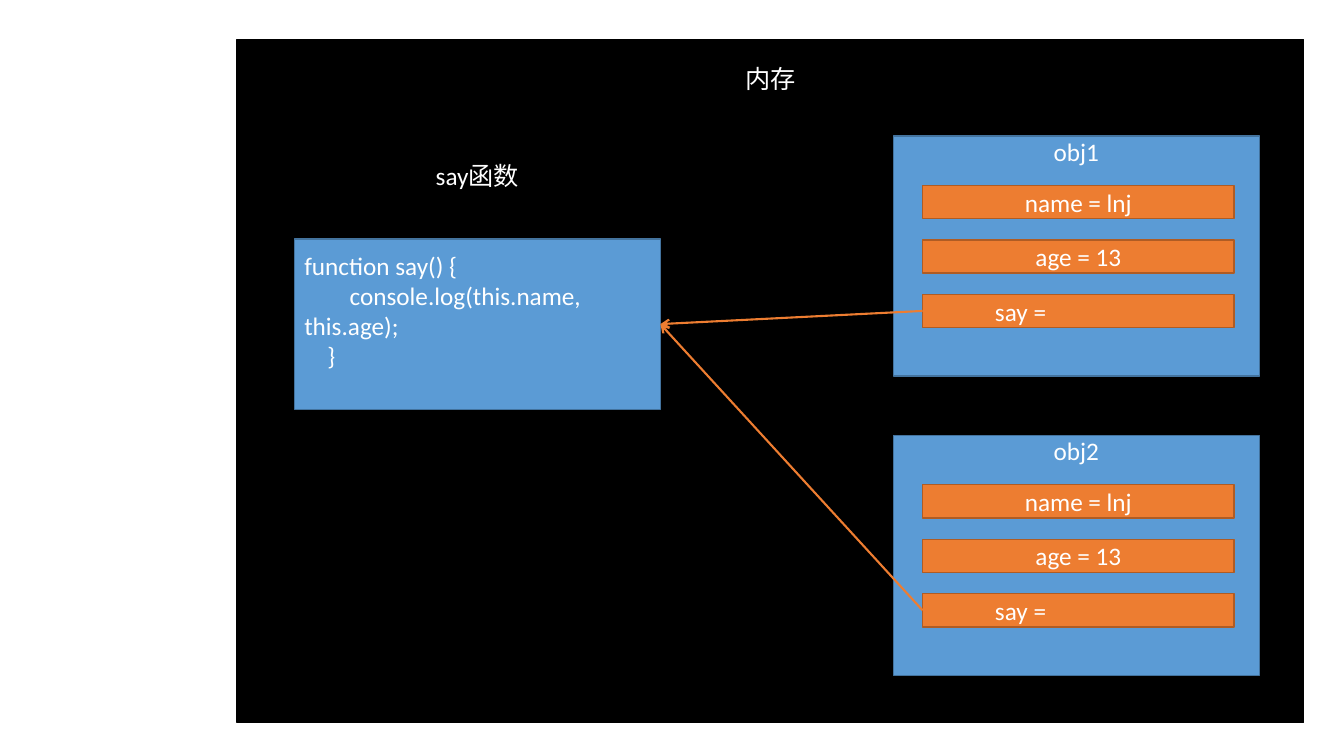
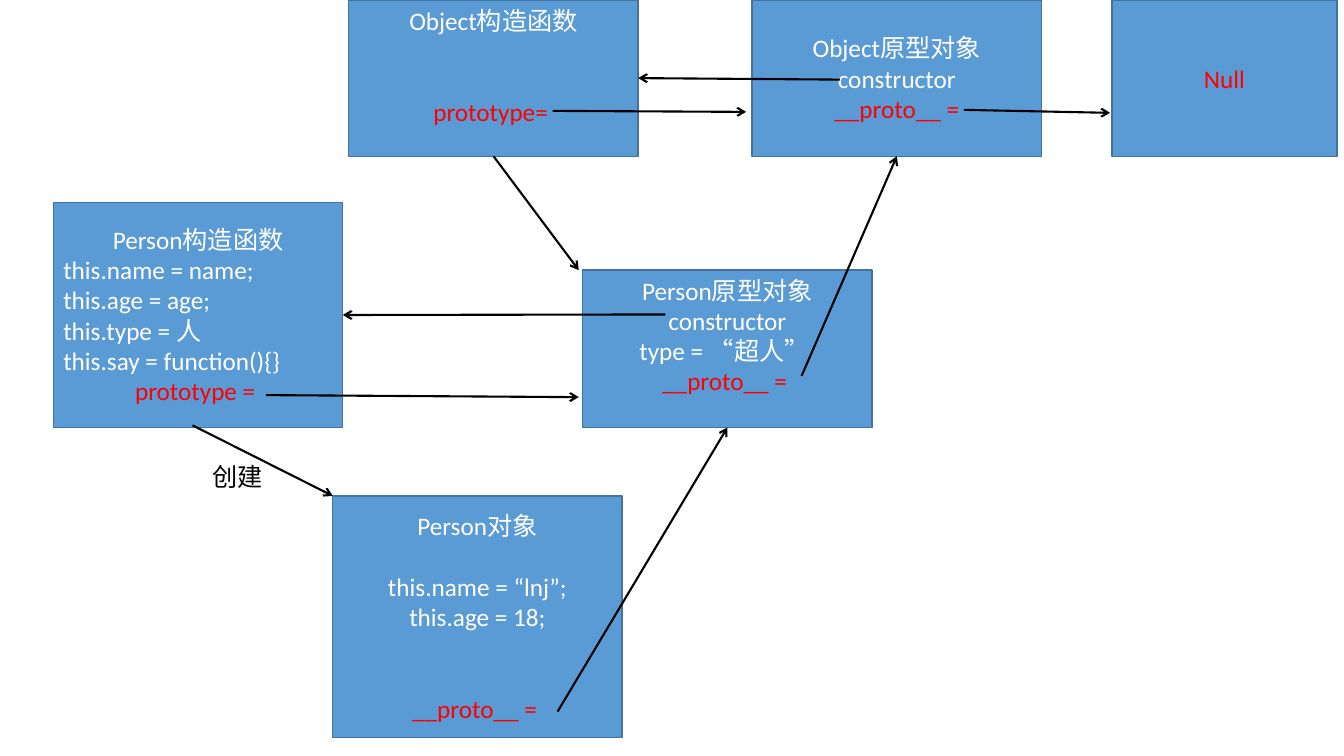
from dataclasses import dataclass
from typing import Optional, Union

from lxml.etree import SubElement
from pptx import Presentation
from pptx.dml.color import RGBColor
from pptx.enum.shapes import MSO_CONNECTOR as Connector, MSO_SHAPE as Preset
from pptx.enum.text import MSO_ANCHOR as Anchor, MSO_AUTO_SIZE as AutoSize, PP_ALIGN as Align
from pptx.oxml.ns import qn
from pptx.util import Inches, Pt


@dataclass(frozen=True)
class Theme:
    """Colours and sizes shared by the slides."""
    font: str = "Calibri"
    text_size: float = 18
    line_height: float = 22
    outline: float = 1
    arrow: float = 1.5
    black: str = "000000"
    white: str = "FFFFFF"
    red: str = "FF0000"
    blue: str = "5B9BD5"
    blue_edge: str = "43739E"
    orange: str = "ED7D31"
    orange_edge: str = "AF5C24"


THEME = Theme()


@dataclass(frozen=True)
class Line:
    """One paragraph; skip counts the line heights left free above it."""
    text: str
    color: str = THEME.white
    align: Align = Align.CENTER
    indent: float = 0
    skip: int = 0


@dataclass(frozen=True)
class Box:
    """A place on the slide, in inches."""
    left: float
    top: float
    width: float
    height: float


@dataclass(frozen=True)
class Card:
    """A blue box of the prototype chain."""
    key: str
    box: Box
    lines: tuple[Line, ...]
    anchor: Anchor = Anchor.MIDDLE


@dataclass(frozen=True)
class Point:
    """A free arrow end, in inches."""
    x: float
    y: float


@dataclass(frozen=True)
class Site:
    """An arrow end glued to the side of a card."""
    key: str
    side: int


@dataclass(frozen=True)
class Arrow:
    """An arrow between two ends."""
    start: Union[Point, Site]
    end: Union[Point, Site]


LEFT, BOTTOM, RIGHT = 1, 2, 3


def rgb(color: str) -> RGBColor:
    """Turn a hex colour into an RGBColor."""
    return RGBColor.from_string(color)


def place(box: Box) -> tuple:
    """Give a box as four lengths."""
    return Inches(box.left), Inches(box.top), Inches(box.width), Inches(box.height)


def write(shape, *lines: Line, anchor: Anchor = Anchor.MIDDLE,
          inset: float = 0.05, wrap: bool = True) -> None:
    """Write the lines into a shape and format them."""
    frame = shape.text_frame
    frame.auto_size = AutoSize.NONE
    frame.word_wrap = wrap
    frame.vertical_anchor = anchor
    frame.margin_top = Inches(inset)
    frame.margin_left = frame.margin_right = Inches(0.1)
    for index, line in enumerate(lines):
        paragraph = frame.add_paragraph() if index else frame.paragraphs[0]
        paragraph.alignment = line.align
        paragraph.space_before = Pt(line.skip * THEME.line_height)
        if line.indent:
            paragraph._p.get_or_add_pPr().set("indent", str(Inches(line.indent)))
        run = paragraph.add_run()
        run.text = line.text
        run.font.name = THEME.font
        run.font.size = Pt(THEME.text_size)
        run.font.color.rgb = rgb(line.color)


def paint(shape, fill: str, edge: str) -> None:
    """Set fill and outline of a shape."""
    shape.fill.solid()
    shape.fill.fore_color.rgb = rgb(fill)
    shape.line.color.rgb = rgb(edge)
    shape.line.width = Pt(THEME.outline)


def draw_box(slide, box: Box, *lines: Line, fill: str = THEME.blue,
             edge: str = THEME.blue_edge, **text_format):
    """Draw a filled rectangle with text."""
    shape = slide.shapes.add_shape(Preset.RECTANGLE, *place(box))
    shape.shadow.inherit = False
    paint(shape, fill, edge)
    write(shape, *lines, **text_format)
    return shape


def draw_label(slide, box: Box, line: Line, **text_format) -> None:
    """Draw text without a frame."""
    write(slide.shapes.add_textbox(*place(box)), line, **text_format)


def draw_arrow(slide, arrow: Arrow, cards: dict, color: str) -> None:
    """Draw an arrow, gluing the ends that name a card."""
    start, end = (Point(0, 0) if isinstance(tip, Site) else tip
                  for tip in (arrow.start, arrow.end))
    connector = slide.shapes.add_connector(
        Connector.STRAIGHT, Inches(start.x), Inches(start.y), Inches(end.x), Inches(end.y))
    if isinstance(arrow.start, Site):
        connector.begin_connect(cards[arrow.start.key], arrow.start.side)
    if isinstance(arrow.end, Site):
        connector.end_connect(cards[arrow.end.key], arrow.end.side)
    connector.line.color.rgb = rgb(color)
    connector.line.width = Pt(THEME.arrow)
    SubElement(connector.line._get_or_add_ln(), qn("a:tailEnd"), type="arrow")
    SubElement(connector._element.spPr, qn("a:effectLst"))


def draw_instance(slide, name: str, top: float):
    """Draw an object with its fields and return the say field."""
    draw_box(slide, Box(8.86, top, 3.63, 2.38), Line(name), anchor=Anchor.TOP, inset=0)
    fields = (Line("name = lnj"), Line("age = 13"),
              Line("say = ", align=Align.LEFT, indent=0.62))
    field_box: Optional[object] = None
    for row, field in enumerate(fields):
        field_box = draw_box(slide, Box(9.15, top + 0.49 + 0.54 * row, 3.09, 0.33), field,
                             fill=THEME.orange, edge=THEME.orange_edge)
    return field_box


def build_memory(deck) -> None:
    """Build the slide on a function shared in memory."""
    slide = deck.slides.add_slide(deck.slide_layouts[5])
    memory = slide.shapes.title
    memory.left, memory.top, memory.width, memory.height = place(Box(2.35, 0.39, 10.58, 6.78))
    paint(memory, THEME.black, THEME.black)
    write(memory, Line("内存"), anchor=Anchor.TOP, inset=0.24)

    cards = {name: draw_instance(slide, name, top)
             for name, top in (("obj1", 1.35), ("obj2", 4.32))}
    draw_label(slide, Box(2.92, 1.54, 3.63, 0.4), Line("say函数"))
    cards["say"] = draw_box(
        slide, Box(2.92, 2.37, 3.63, 1.69),
        Line("function say() {", align=Align.LEFT),
        Line("console.log(this.name, this.age);", align=Align.LEFT, indent=0.45),
        Line("}", align=Align.LEFT, indent=0.23),
        anchor=Anchor.TOP, inset=0.11)
    for name in ("obj1", "obj2"):
        draw_arrow(slide, Arrow(Site(name, LEFT), Site("say", RIGHT)), cards, THEME.orange)


CHAIN_CARDS = (
    Card("Person", Box(0.53, 2.01, 2.87, 2.23), (
        Line("Person构造函数"),
        *(Line(code, align=Align.LEFT) for code in (
            "this.name = name;", "this.age = age;", "this.type = 人",
            "this.say = function(){}")),
        Line("prototype = ", THEME.red))),
    Card("Person prototype", Box(5.78, 2.68, 2.87, 1.56), (
        Line("Person原型对象"), Line("constructor"), Line("type = “超人” "),
        Line("__proto__ = ", THEME.red)), Anchor.TOP),
    Card("person", Box(3.3, 4.92, 2.87, 2.4), (
        Line("Person对象"), Line("this.name = “lnj”;", skip=1), Line("this.age = 18;"),
        Line("__proto__ = ", THEME.red, skip=2))),
    Card("Object", Box(3.46, 0, 2.87, 1.55), (
        Line("Object构造函数"), Line("prototype= ", THEME.red, skip=2)), Anchor.TOP),
    Card("Object prototype", Box(7.46, 0, 2.87, 1.55), (
        Line("Object原型对象"), Line("constructor"), Line("__proto__ =", THEME.red))),
    Card("Null", Box(11.03, 0, 2.23, 1.55), (Line("Null", THEME.red),)),
)

CHAIN_ARROWS = (
    Arrow(Point(2.64, 3.92), Point(5.74, 3.94)),
    Arrow(Point(6.6, 3.12), Site("Person", RIGHT)),
    Arrow(Point(1.91, 4.22), Point(3.3, 4.92)),
    Arrow(Point(5.53, 7.06), Site("Person prototype", BOTTOM)),
    Arrow(Site("Object", BOTTOM), Point(5.74, 2.68)),
    Arrow(Point(7.95, 3.73), Site("Object prototype", BOTTOM)),
    Arrow(Point(8.33, 0.79), Site("Object", RIGHT)),
    Arrow(Point(5.48, 1.1), Point(7.4, 1.11)),
    Arrow(Point(9.56, 1.09), Point(11.01, 1.12)),
)


def build_chain(deck) -> None:
    """Build the slide on the prototype chain."""
    slide = deck.slides.add_slide(deck.slide_layouts[6])
    cards = {card.key: draw_box(slide, card.box, *card.lines, anchor=card.anchor)
             for card in CHAIN_CARDS}
    draw_label(slide, Box(2.01, 4.53, 0.7, 0.4),
               Line("创建", THEME.black, Align.LEFT), anchor=Anchor.TOP, wrap=False)
    for arrow in CHAIN_ARROWS:
        draw_arrow(slide, arrow, cards, THEME.black)


def main() -> None:
    """Build and save the deck."""
    deck = Presentation()
    deck.slide_width, deck.slide_height = Inches(13.33), Inches(7.5)
    build_memory(deck)
    build_chain(deck)
    deck.save("out.pptx")


main()
